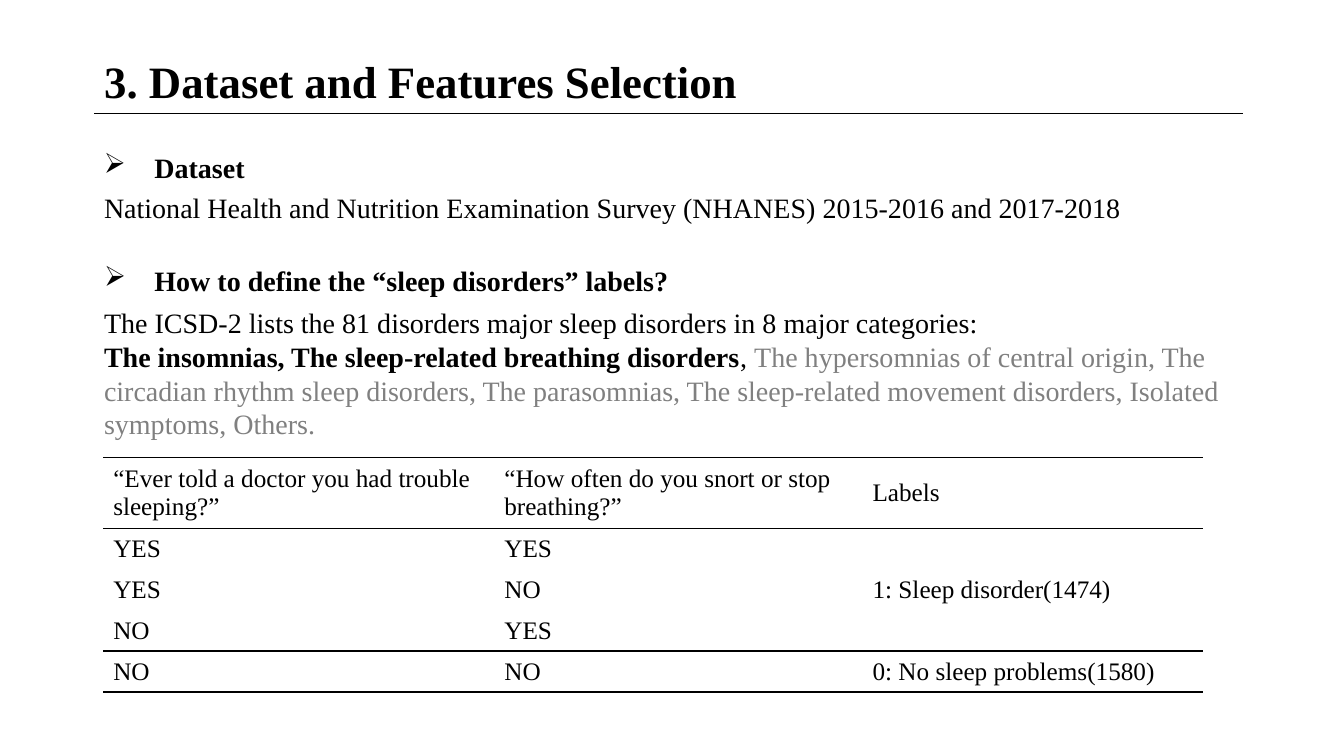
from lxml import etree
from pptx import Presentation
from pptx import util as u
from pptx.dml.color import RGBColor
from pptx.enum import shapes, text
from pptx.oxml.ns import qn

BLACK = RGBColor(0x00, 0x00, 0x00)
GRAY = RGBColor(0x80, 0x80, 0x80)
NO_GRID = "{2D5ABB26-0587-4C30-8999-92F81FD0307C}"
LEFT, WIDTH, LINE_H = 7, 85.5, 5.87


def add_run(p, txt, size=20, bold=False, color=BLACK, font="Times New Roman"):
    r = p.add_run()
    r.text = txt
    r.font.name, r.font.size, r.font.bold = font, u.Pt(size), bold
    r.font.color.rgb = color


class Deck:
    """Places styled elements on a slide divided into 100 columns and 100 rows."""

    def __init__(self):
        self.prs = Presentation()
        self.prs.slide_width, self.prs.slide_height = u.Inches(13.33), u.Inches(7.5)
        self.s = self.prs.slides.add_slide(self.prs.slide_layouts[5])

    def x(self, cols):
        return int(self.prs.slide_width * cols / 100)

    def y(self, rows):
        return int(self.prs.slide_height * rows / 100)

    def box(self, x, y, w, h):
        return self.x(x), self.y(y), self.x(w), self.y(h)

    def title(self, txt, x, y, w, h):
        sp = self.s.shapes.title
        sp.left, sp.top, sp.width, sp.height = self.box(x, y, w, h)
        tf = sp.text_frame
        tf.word_wrap, tf.vertical_anchor = False, text.MSO_ANCHOR.TOP
        tf.auto_size = text.MSO_AUTO_SIZE.SHAPE_TO_FIT_TEXT
        p = tf.paragraphs[0]
        p.alignment = text.PP_ALIGN.LEFT
        add_run(p, txt, size=32, bold=True)

    def rule(self, x, y, w):
        left, top, width, _ = self.box(x, y, w, 0)
        ln = self.s.shapes.add_connector(
            shapes.MSO_CONNECTOR.STRAIGHT, left, top, left + width, top)
        ln.line.color.rgb, ln.line.width = BLACK, u.Pt(0.5)
        etree.SubElement(ln._element.spPr, qn("a:effectLst"))

    def text(self, paragraphs, x, y, w, h, wrap=True):
        tf = self.s.shapes.add_textbox(*self.box(x, y, w, h)).text_frame
        tf.word_wrap, tf.auto_size = wrap, text.MSO_AUTO_SIZE.SHAPE_TO_FIT_TEXT
        for i, runs in enumerate(paragraphs):
            p = tf.add_paragraph() if i else tf.paragraphs[0]
            for txt, fmt in runs:
                add_run(p, txt, **fmt)
        return tf

    def heading(self, txt, x, y, w, h):
        tf = self.text([[(txt, {"bold": True})]], x, y, w, h, wrap=False)
        pPr = tf.paragraphs[0]._p.get_or_add_pPr()
        indent = u.Inches(0.5)
        pPr.set("marL", str(indent))
        pPr.set("indent", str(-indent))
        etree.SubElement(pPr, qn("a:buChar"), char="➢")

    def border(self, cell, side, visible):
        tcPr = cell._tc.get_or_add_tcPr()
        ln = etree.SubElement(tcPr, qn("a:" + side), w=str(u.Pt(1)))
        if visible:
            fill = etree.SubElement(ln, qn("a:solidFill"))
            etree.SubElement(fill, qn("a:srgbClr"), val=str(BLACK))
        else:
            etree.SubElement(ln, qn("a:noFill"))

    def table(self, rows, x, y, widths, heights, rules, merge):
        frame = self.s.shapes.add_table(
            len(rows), len(widths), *self.box(x, y, sum(widths), sum(heights)))
        tbl = frame.table
        tbl.first_row = tbl.horz_banding = False
        tbl._tbl.tblPr.find(qn("a:tableStyleId")).text = NO_GRID
        for col, w in zip(tbl.columns, widths):
            col.width = self.x(w)
        for row, h in zip(tbl.rows, heights):
            row.height = self.y(h)
        for i, row in enumerate(rows):
            for j, txt in enumerate(row):
                cell = tbl.cell(i, j)
                cell.vertical_anchor = text.MSO_ANCHOR.MIDDLE
                self.border(cell, "lnT", i in rules)
                self.border(cell, "lnB", i + 1 in rules)
                cell.fill.background()
                if txt:
                    add_run(cell.text_frame.paragraphs[0], txt, size=18)
        first, last = merge
        tbl.cell(*first).merge(tbl.cell(*last))


def main():
    deck = Deck()
    deck.title("3. Dataset and Features Selection", LEFT, 6.4, 49.06, 8.53)
    deck.rule(LEFT, 14.93, WIDTH)
    deck.heading("Dataset", LEFT, 19.2, 12.08, LINE_H)
    deck.text([[("National Health and Nutrition Examination Survey (NHANES) "
                 "2015-2016 and 2017-2018", {})]], LEFT, 24.6, WIDTH, LINE_H)
    deck.heading("How to define the “sleep disorders” labels?",
                 LEFT, 34.2, 43.81, LINE_H)
    deck.text([
        [("The ICSD-2 lists the 81 disorders major sleep disorders in "
          "8 major categories:", {})],
        [("The insomnias, The sleep-related breathing disorders", {"bold": True}),
         (", ", {}),
         ("The hypersomnias of central origin, The circadian rhythm sleep "
          "disorders, The parasomnias, The sleep-related movement disorders, "
          "Isolated symptoms, Others.", {"color": GRAY})],
    ], LEFT, 39.8, WIDTH, 19.33)
    deck.table([
        ["“Ever told a doctor you had trouble sleeping?”",
         "“How often do you snort or stop breathing?”", "Labels"],
        ["YES", "YES", "1: Sleep disorder(1474)"],
        ["YES", "NO", ""],
        ["NO", "YES", ""],
        ["NO", "NO", "0: No sleep problems(1580)"],
    ], 7.68, 60.53, widths=[29.1, 27.4, 25.35], heights=[9.33] + [5.42] * 4,
        rules={0, 1, 4, 5}, merge=((1, 2), (3, 2)))
    deck.prs.save("out.pptx")


if __name__ == "__main__":
    main()
